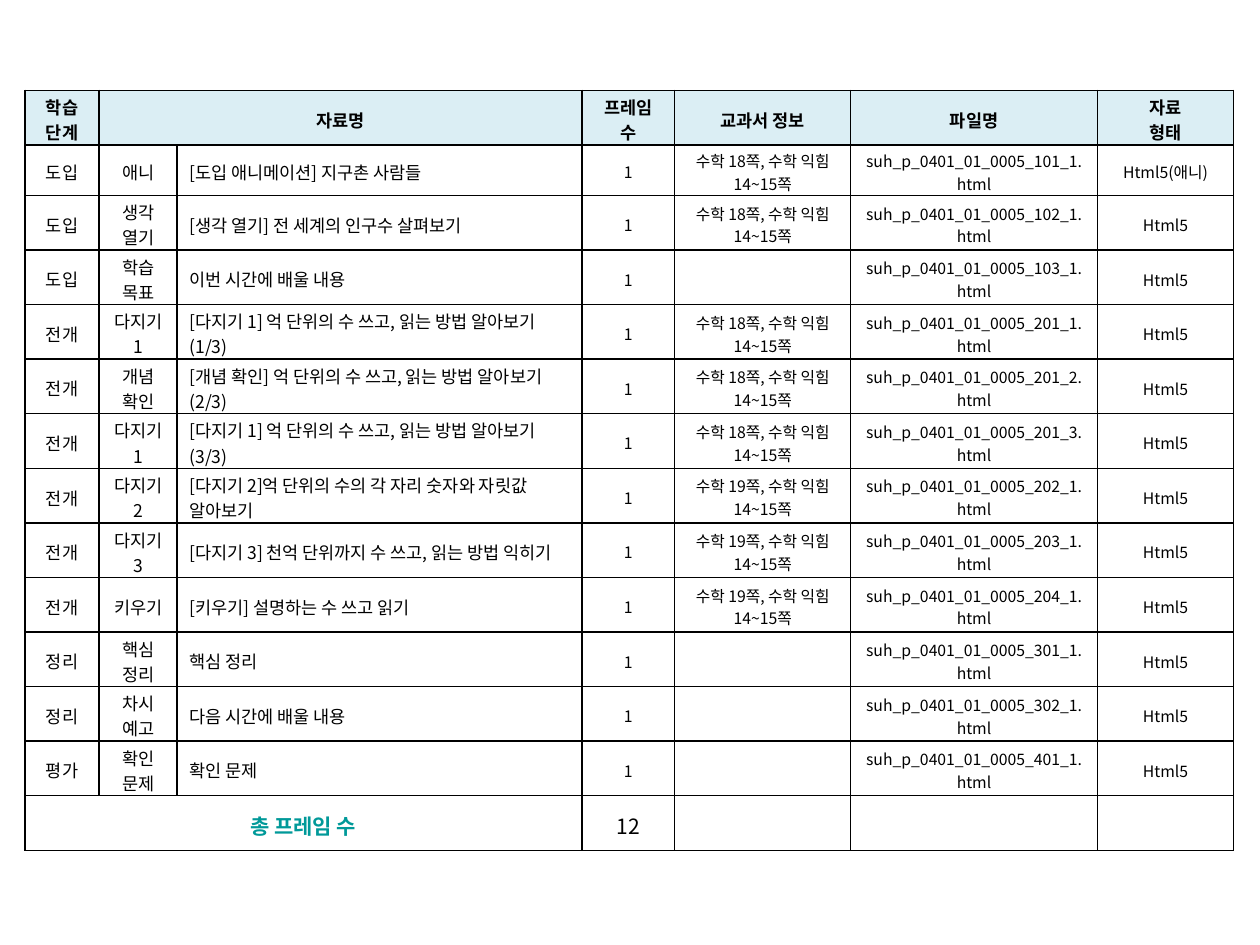
from lxml.etree import SubElement
from pptx import Presentation
from pptx.dml.color import RGBColor
from pptx.enum.text import MSO_ANCHOR, PP_ALIGN
from pptx.oxml.ns import qn
from pptx.util import Cm, Pt

THEME = {
    "font": "Noto Sans CJK KR",
    "text": "000000", "accent": "009999", "header": "DBEEF4", "border": "000000",
    "body": 10, "small": 9, "total": 12, "border_pt": 1,
}

HEADER = ["학습 단계", "자료명", "", "프레임 수", "교과서 정보", "파일명", "자료\n형태"]

# stage, activity, title, textbook page, file code, format
MATERIALS = [
    ("도입", "애니", "[도입 애니메이션] 지구촌 사람들", 18, "101_1", "Html5(애니)"),
    ("도입", "생각 열기", "[생각 열기] 전 세계의 인구수 살펴보기", 18, "102_1", "Html5"),
    ("도입", "학습 목표", "이번 시간에 배울 내용", None, "103_1", "Html5"),
    ("전개", "다지기 1", "[다지기 1] 억 단위의 수 쓰고, 읽는 방법 알아보기 (1/3)", 18, "201_1", "Html5"),
    ("전개", "개념 확인", "[개념 확인] 억 단위의 수 쓰고, 읽는 방법 알아보기 (2/3)", 18, "201_2", "Html5"),
    ("전개", "다지기 1", "[다지기 1] 억 단위의 수 쓰고, 읽는 방법 알아보기 (3/3)", 18, "201_3", "Html5"),
    ("전개", "다지기 2", "[다지기 2]억 단위의 수의 각 자리 숫자와 자릿값 알아보기", 19, "202_1", "Html5"),
    ("전개", "다지기 3", "[다지기 3] 천억 단위까지 수 쓰고, 읽는 방법 익히기", 19, "203_1", "Html5"),
    ("전개", "키우기", "[키우기] 설명하는 수 쓰고 읽기", 19, "204_1", "Html5"),
    ("정리", "핵심 정리", "핵심 정리", None, "301_1", "Html5"),
    ("정리", "차시 예고", "다음 시간에 배울 내용", None, "302_1", "Html5"),
    ("평가", "확인 문제", "확인 문제", None, "401_1", "Html5"),
]
TOTAL = ["총 프레임 수", "", "", str(len(MATERIALS)), "", "", ""]

LEFT, TOP = 0.5, 1.82
COL_WIDTHS = [1.5, 1.57, 8.16, 1.87, 3.55, 4.97, 2.75]
ROW_HEIGHT, FIRST_MATERIAL_HEIGHT = 1.1, 1.02
MARGINS = {"margin_left": Cm(0.25), "margin_right": Cm(0.25),
           "margin_top": Cm(0.08), "margin_bottom": Cm(0)}
TITLE_COL, FRAMES_COL = 2, 3


def material_row(stage, activity, title, page, code, kind):
    pages = f"수학 {page}쪽, 수학 익힘 14~15쪽" if page else ""
    return [stage, activity, title, "1", pages, f"suh_p_0401_01_0005_{code}.html", kind]


def set_borders(cell):
    tc_pr = cell._tc.get_or_add_tcPr()
    for i, side in enumerate(("lnL", "lnR", "lnT", "lnB")):
        ln = tc_pr.makeelement(qn(f"a:{side}"), {"w": str(Pt(THEME["border_pt"]))})
        fill = SubElement(ln, qn("a:solidFill"))
        SubElement(fill, qn("a:srgbClr"), val=THEME["border"])
        tc_pr.insert(i, ln)


def set_text(cell, text, size, color, bold, align):
    cell.vertical_anchor = MSO_ANCHOR.MIDDLE
    for name, value in MARGINS.items():
        setattr(cell, name, value)
    tf = cell.text_frame
    for i, line in enumerate(text.split("\n")):
        p = tf.add_paragraph() if i else tf.paragraphs[0]
        p.alignment = align
        if not line:
            # An empty cell would otherwise take the default size and stretch its row
            SubElement(p._p, qn("a:endParaRPr"), sz=str(size * 100))
            continue
        r = p.add_run()
        r.text = line
        for name, value in {"size": Pt(size), "bold": bold, "name": THEME["font"]}.items():
            setattr(r.font, name, value)
        r.font.color.rgb = RGBColor.from_string(color)
        SubElement(r._r.get_or_add_rPr(), qn("a:ea"), typeface=THEME["font"])


def cell_format(row, col, last_row):
    fmt = {"size": THEME["body"], "color": THEME["text"], "bold": row == 0,
           "align": PP_ALIGN.CENTER}
    if row == last_row:
        fmt["size"] = THEME["total"]
        if col < FRAMES_COL:
            fmt.update(color=THEME["accent"], bold=True)
    elif row > 0:
        if col >= FRAMES_COL:
            fmt["size"] = THEME["small"]
        elif col == TITLE_COL:
            fmt["align"] = PP_ALIGN.LEFT
    return fmt


def main():
    prs = Presentation()
    prs.slide_width, prs.slide_height = Cm(25.4), Cm(19.05)
    s = prs.slides.add_slide(prs.slide_layouts[6])

    rows = [HEADER, *(material_row(*m) for m in MATERIALS), TOTAL]
    heights = [ROW_HEIGHT] * len(rows)
    heights[1] = FIRST_MATERIAL_HEIGHT
    table = s.shapes.add_table(len(rows), len(COL_WIDTHS), Cm(LEFT), Cm(TOP),
                               Cm(sum(COL_WIDTHS)), Cm(sum(heights))).table
    table.first_row = table.horz_banding = False
    for column, width in zip(table.columns, COL_WIDTHS):
        column.width = Cm(width)
    for row, height in zip(table.rows, heights):
        row.height = Cm(height)

    last_row = len(rows) - 1
    for i, texts in enumerate(rows):
        for j, text in enumerate(texts):
            cell = table.cell(i, j)
            set_text(cell, text, **cell_format(i, j, last_row))
            if i == 0:
                cell.fill.solid()
                cell.fill.fore_color.rgb = RGBColor.from_string(THEME["header"])
            else:
                cell.fill.background()
            set_borders(cell)
    table.cell(0, 1).merge(table.cell(0, TITLE_COL))
    table.cell(last_row, 0).merge(table.cell(last_row, TITLE_COL))

    prs.save("out.pptx")


if __name__ == "__main__":
    main()
